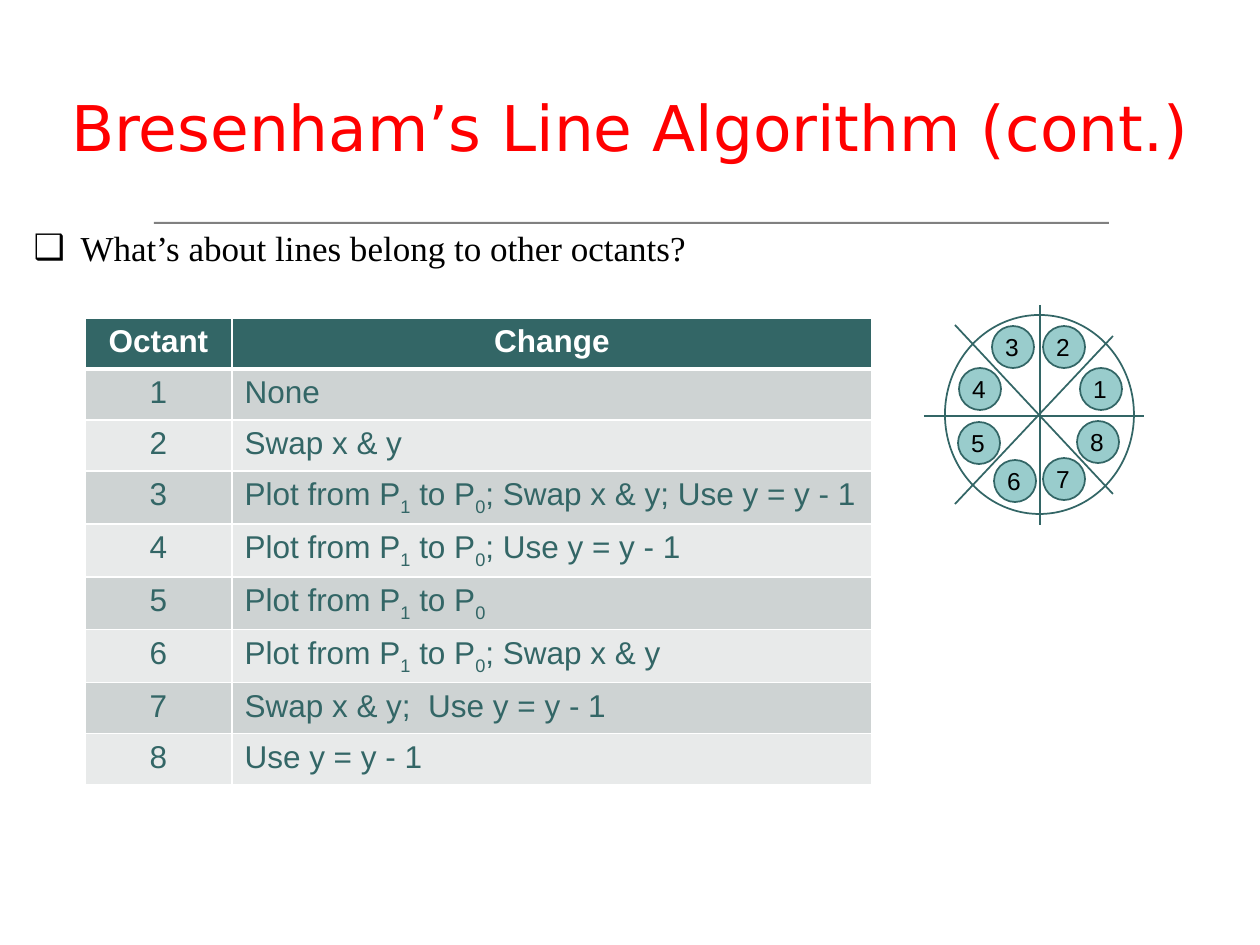
"""Build the slide on octant changes in Bresenham's line algorithm."""
from lxml import etree
from pptx import Presentation, util as u
from pptx.dml.color import RGBColor
from pptx.enum import shapes, text
from pptx.oxml.ns import qn

TITLE = "Bresenham’s Line Algorithm (cont.)"
ASK = "What’s about lines belong to other octants?"
SWAP = "Plot from P_1_ to P_0_"
HEAD = ("Octant", "Change")
CHANGES = ["None", "Swap x & y", SWAP + "; Swap x & y; Use y = y - 1",
           SWAP + "; Use y = y - 1", SWAP, SWAP + "; Swap x & y",
           "Swap x & y;  Use y = y - 1", "Use y = y - 1"]
AXES = [(1040, 305, 1040, 525), (924, 416, 1144, 416),
        (955, 504, 1113, 336), (955, 325, 1113, 494)]
DOTS = [(1080, 368), (1043, 326), (992, 326), (959, 368),
        (958, 422), (994, 460), (1043, 458), (1077, 421)]
DOT = 42
DARK, PALE, WHITE, BLACK = "336666", "99CCCC", "FFFFFF", "000000"
BANDS = ("E8EAEA", "CED3D3")


def px(n):
    return u.Emu(round(n * 914400 / 126))


def hue(code):
    return RGBColor.from_string(code)


def style(run, size, face, code, bold=False):
    font = run.font
    font.size, font.name, font.bold = u.Pt(size), face, bold
    font.color.rgb = hue(code)


def place(item, *box):
    item.left, item.top, item.width, item.height = map(px, box)


def shape(kind, box, fill=None, line=None):
    item = page.shapes.add_shape(kind, *map(px, box))
    item.shadow.inherit = False
    if fill:
        item.fill.solid()
        item.fill.fore_color.rgb = hue(fill)
    else:
        item.fill.background()
    if line:
        item.line.color.rgb, item.line.width = hue(line), u.Pt(1)
    else:
        item.line.fill.background()
    return item


def edge(cell, side, width):
    line = etree.SubElement(cell._tc.get_or_add_tcPr(), qn("a:" + side),
                            w=str(u.Pt(width)))
    fill = etree.SubElement(line, qn("a:solidFill"))
    etree.SubElement(fill, qn("a:srgbClr"), val=WHITE)


def write(cell, words, fill, code, bold, mid, base):
    for side in ("lnL", "lnR", "lnT", "lnB"):
        edge(cell, side, 3 if side == base else 1)
    cell.fill.solid()
    cell.fill.fore_color.rgb = hue(fill)
    para = cell.text_frame.paragraphs[0]
    para.alignment = text.PP_ALIGN.CENTER if mid else text.PP_ALIGN.LEFT
    for i, part in enumerate(words.split("_")):
        if part:
            run = para.add_run()
            run.text = part
            style(run, 18, "Arial", code, bold)
            if i % 2:
                run._r.get_or_add_rPr().set("baseline", "-25000")


deck = Presentation()
deck.slide_width, deck.slide_height = px(1260), px(945)
page = deck.slides.add_slide(deck.slide_layouts[1])
shape(shapes.MSO_SHAPE.RECTANGLE, (154, 222, 955, 2), "808080")

title, body = page.placeholders
place(title, 0, 63, 1260, 126)
title.text_frame.text = TITLE
title.text_frame.vertical_anchor = text.MSO_ANCHOR.MIDDLE
para = title.text_frame.paragraphs[0]
para.alignment = text.PP_ALIGN.CENTER
style(para.runs[0], 36, "DejaVu Sans", "FF0000")

place(body, 21, 220, 1218, 703)
body.text_frame.text = ASK
para = body.text_frame.paragraphs[0]
para.alignment, para.space_before = text.PP_ALIGN.JUSTIFY, u.Pt(4)
style(para.runs[0], 20, "Times New Roman", BLACK)
props = para._p.get_or_add_pPr()
props.set("marL", str(px(47)))
props.set("indent", str(px(-47)))
etree.SubElement(props, qn("a:buChar"), char="❑")

shape(shapes.MSO_SHAPE.OVAL, (945, 315, 189, 199), line=DARK)
for axis in AXES:
    line = page.shapes.add_connector(shapes.MSO_CONNECTOR.STRAIGHT, *map(px, axis))
    line.line.color.rgb, line.line.width = hue(DARK), u.Pt(1)
    etree.SubElement(line._element.spPr, qn("a:effectLst"))
for num, (x, y) in enumerate(DOTS, 1):
    frame = shape(shapes.MSO_SHAPE.OVAL, (x, y, DOT, DOT), PALE, DARK).text_frame
    frame.margin_left = px(7)
    frame.margin_right = frame.margin_top = frame.margin_bottom = 0
    frame.text = str(num)
    frame.paragraphs[0].alignment = text.PP_ALIGN.LEFT
    style(frame.paragraphs[0].runs[0], 14, "Arial", BLACK)

rows = [HEAD] + [(str(n), change) for n, change in enumerate(CHANGES, 1)]
grid = page.shapes.add_table(len(rows), 2, *map(px, (85, 318, 787, 459))).table
for col, width in zip(grid.columns, (147, 640)):
    col.width = px(width)
for r, row in enumerate(rows):
    grid.rows[r].height = px(51)
    for c, words in enumerate(row):
        top = r == 0
        write(grid.cell(r, c), words, DARK if top else BANDS[r % 2],
              WHITE if top else DARK, top, top or c == 0,
              "lnB" if top else "lnT" if r == 1 else None)

deck.save("out.pptx")
